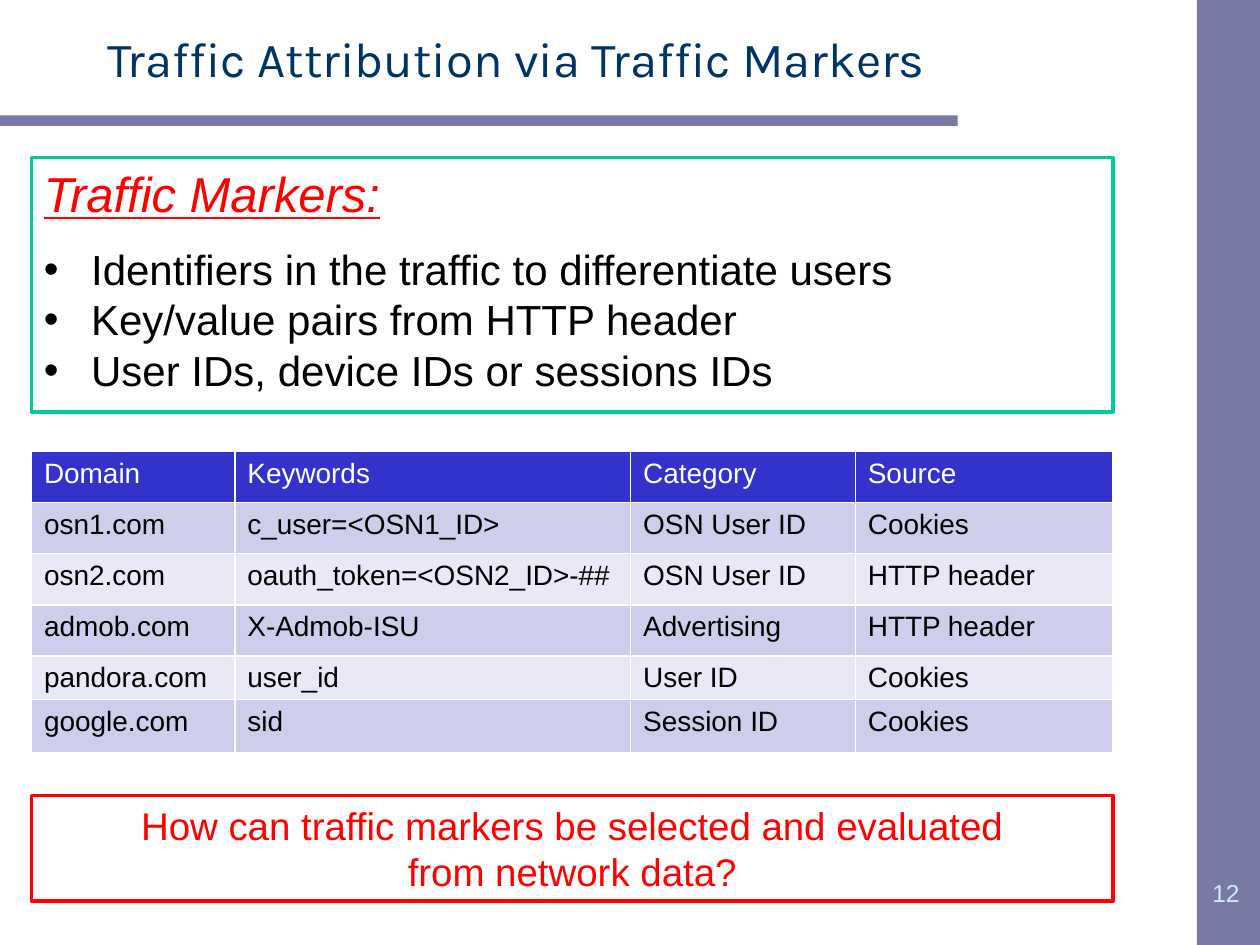
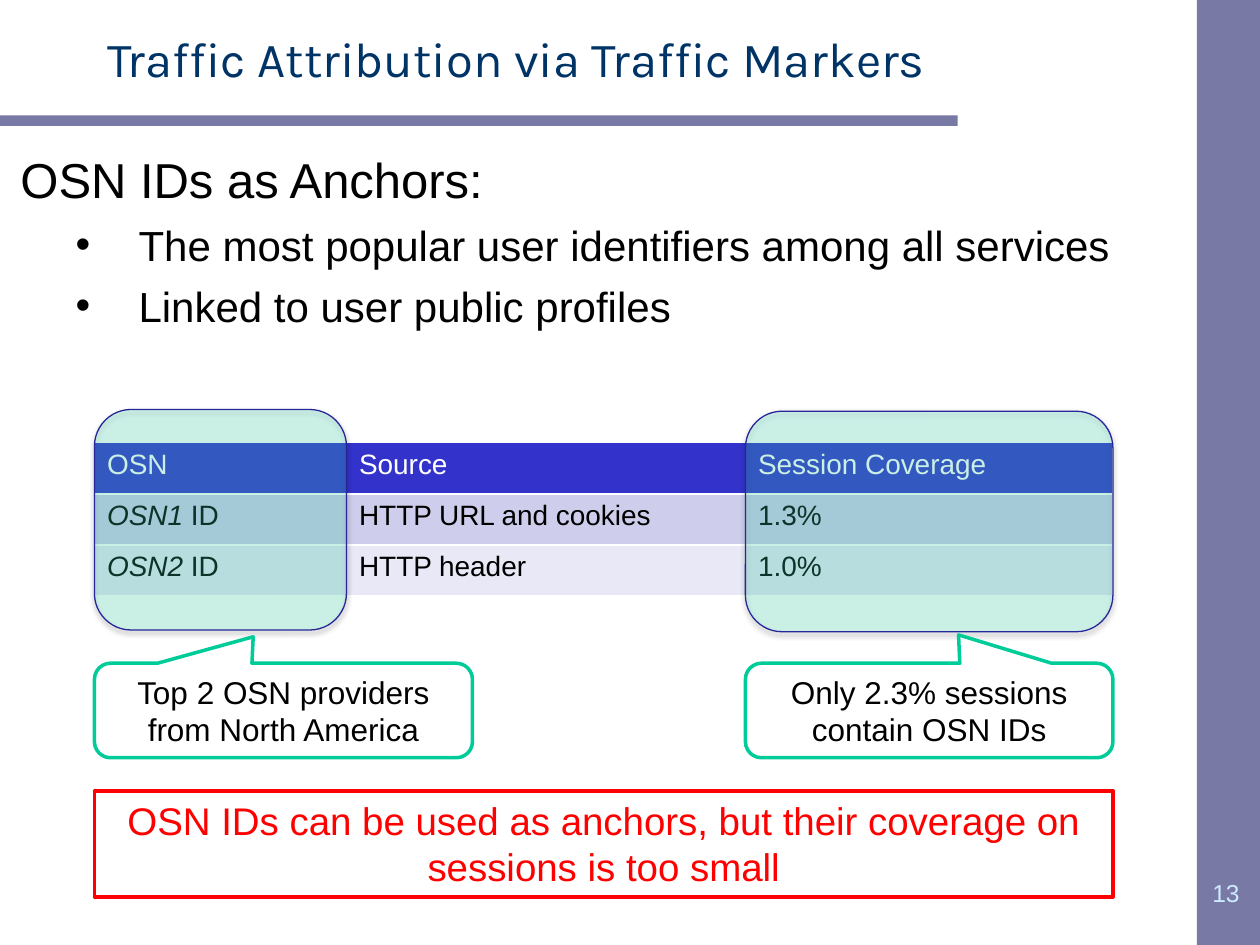
"""Build two slides on attributing traffic through traffic markers."""
from dataclasses import dataclass, field
from typing import Any, Optional

from lxml import etree
from pptx import Presentation
from pptx import util as u
from pptx.dml import color
from pptx.enum import shapes, text
from pptx.oxml import ns

Pt = u.Pt
INK, PAPER, NAVY, BAND, NUMBER = "000000", "FFFFFF", "003366", "7979A6", "CCECFF"
GREEN, RED, MINT, OUTLINE = "00CC99", "FF0000", "47FFD1", "262699"
HEADER, ROW_TINTS = "3333CC", ("CECEEC", "E8E8F6")
HEADING = "Traffic Attribution via Traffic Markers"
LEFT, CENTER = text.PP_ALIGN.LEFT, text.PP_ALIGN.CENTER
TOP, MIDDLE = text.MSO_ANCHOR.TOP, text.MSO_ANCHOR.MIDDLE
RECTANGLE = shapes.MSO_SHAPE.RECTANGLE
RIGHT_EDGE = 636


@dataclass
class Area:
    left: float
    top: float
    width: float
    height: float

    def lengths(self) -> list:
        return [Pt(v) for v in (self.left, self.top, self.width, self.height)]


@dataclass
class Line:
    words: str
    size: float
    ink: str = INK
    font: str = "Arial"
    look: dict = field(default_factory=dict)
    layout: dict = field(default_factory=dict)
    margin: float = 0
    indent: float = 0
    bullet: bool = False


@dataclass
class Panel:
    area: Area
    edge: Optional[str] = None
    fill: str = PAPER
    weight: float = 2
    lines: tuple = ()
    kind: Any = RECTANGLE
    anchor: Any = TOP
    adjust: tuple = ()
    opacity: Optional[int] = None
    shadowed: bool = False


@dataclass
class Grid:
    area: Area
    columns: tuple
    heights: tuple
    rows: tuple


def rgb(value: str) -> color.RGBColor:
    return color.RGBColor.from_string(value)


def apply(target: Any, formats: dict) -> None:
    for name, value in formats.items():
        setattr(target, name, value)


def add_run(paragraph: Any, words: str, size: float, ink: str, font: str, look: dict) -> None:
    run = paragraph.add_run()
    run.text = words
    apply(run.font, {"size": Pt(size), "name": font, "bold": False, **look})
    run.font.color.rgb = rgb(ink)


def write(frame: Any, lines: tuple, anchor: Any = TOP) -> None:
    apply(frame, {"word_wrap": True, "auto_size": text.MSO_AUTO_SIZE.NONE, "vertical_anchor": anchor})
    for index, line in enumerate(lines):
        paragraph = frame.add_paragraph() if index else frame.paragraphs[0]
        properties = paragraph._p.get_or_add_pPr()
        properties.set("marL", str(Pt(line.margin)))
        properties.set("indent", str(Pt(line.indent)))
        if line.bullet:
            typeface = etree.SubElement(properties, ns.qn("a:buFont"))
            typeface.set("typeface", "Arial")
            etree.SubElement(properties, ns.qn("a:buChar")).set("char", "•")
        else:
            etree.SubElement(properties, ns.qn("a:buNone"))
        apply(paragraph, {"alignment": LEFT, "space_before": Pt(0), **line.layout})
        add_run(paragraph, line.words, line.size, line.ink, line.font, line.look)


def add_shadow(properties: Any) -> None:
    effects = properties.find(ns.qn("a:effectLst"))
    shadow = etree.SubElement(effects, ns.qn("a:outerShdw"))
    for name, value in {"blurRad": Pt(3.1), "dist": Pt(1.6), "dir": 5400000, "rotWithShape": 0}.items():
        shadow.set(name, str(value))
    tone = etree.SubElement(shadow, ns.qn("a:srgbClr"))
    tone.set("val", INK)
    etree.SubElement(tone, ns.qn("a:alpha")).set("val", "38000")


def draw_panel(slide: Any, panel: Panel) -> None:
    shape = slide.shapes.add_shape(panel.kind, *panel.area.lengths())
    shape.shadow.inherit = False
    for index, value in enumerate(panel.adjust):
        shape.adjustments[index] = value
    shape.fill.solid()
    shape.fill.fore_color.rgb = rgb(panel.fill)
    if panel.edge:
        shape.line.color.rgb = rgb(panel.edge)
        shape.line.width = Pt(panel.weight)
    else:
        shape.line.fill.background()
    properties = shape.element.spPr
    if panel.opacity is not None:
        tint = properties.find(ns.qn("a:solidFill")).find(ns.qn("a:srgbClr"))
        etree.SubElement(tint, ns.qn("a:alpha")).set("val", str(panel.opacity * 1000))
    if panel.shadowed:
        add_shadow(properties)
    if panel.lines:
        write(shape.text_frame, panel.lines, panel.anchor)


def draw_grid(slide: Any, grid: Grid) -> None:
    table = slide.shapes.add_table(len(grid.rows), len(grid.columns), *grid.area.lengths()).table
    for column, width in zip(table.columns, grid.columns):
        column.width = Pt(width)
    for r, (row, height) in enumerate(zip(grid.rows, grid.heights)):
        table.rows[r].height = Pt(height)
        for c, entry in enumerate(row):
            cell = table.cell(r, c)
            cell.fill.solid()
            cell.fill.fore_color.rgb = rgb(ROW_TINTS[(r - 1) % 2] if r else HEADER)
            pieces = entry if isinstance(entry, tuple) else ("", entry)
            for words, italic in zip(pieces, (True, False)):
                if words:
                    add_run(cell.text_frame.paragraphs[0], words, 16, INK if r else PAPER, "Arial",
                            {"italic": italic})


def place(placeholder: Any, area: Area, lines: tuple, anchor: Any = TOP) -> None:
    apply(placeholder, dict(zip(("left", "top", "width", "height"), area.lengths())))
    write(placeholder.text_frame, lines, anchor)


def start_slide(deck: Any, layout: int, number: int) -> Any:
    slide = deck.slides.add_slide(deck.slide_layouts[layout])
    for band in (Area(684, 0, 36, 540), Area(0, 66, 547.2, 6)):
        draw_panel(slide, Panel(band, fill=BAND))
    page = slide.shapes.add_textbox(*Area(684.7, 498.2, 31.7, 35.3).lengths())
    write(page.text_frame, (Line(str(number), 14, NUMBER, layout={"alignment": CENTER}),))
    place(slide.shapes.title, Area(54, 7.2, 623.5, 51),
          (Line(HEADING, 28, NAVY, "Karla", layout={"line_spacing": 1.03}),), MIDDLE)
    return slide


def centered(size: float, ink: str, *sentences: str) -> tuple:
    return tuple(Line(s, size, ink, layout={"alignment": CENTER}) for s in sentences)


def markers_slide(deck: Any) -> None:
    slide = start_slide(deck, 5, 12)
    facts = ("Identifiers in the traffic to differentiate users",
             "Key/value pairs from HTTP header",
             "User IDs, device IDs or sessions IDs")
    definition = (Line("Traffic Markers:", 28, RED, look={"italic": True, "underline": True}),) + tuple(
        Line(fact, 24, layout={"space_before": Pt(0 if i else 12)}, margin=27, indent=-27, bullet=True)
        for i, fact in enumerate(facts))
    draw_panel(slide, Panel(Area(18, 90, 618, 145.4), GREEN, lines=definition))
    draw_grid(slide, Grid(Area(18, 258, 618, 173.5), (116.2, 226.2, 128.4, 147.2),
                          (29.2,) * 4 + (19.4, 30.2), (
        ("Domain", "Keywords", "Category", "Source"),
        ("osn1.com", "c_user=<OSN1_ID>", "OSN User ID", "Cookies"),
        ("osn2.com", "oauth_token=<OSN2_ID>-##", "OSN User ID", "HTTP header"),
        ("admob.com", "X-Admob-ISU", "Advertising", "HTTP header"),
        ("pandora.com", "user_id", "User ID", "Cookies"),
        ("google.com", "sid", "Session ID", "Cookies"))))
    draw_panel(slide, Panel(Area(18, 454.5, 618, 60.5), RED, lines=centered(
        22, RED, "How can traffic markers be selected and evaluated", "from network data?")))


def anchors_slide(deck: Any) -> None:
    slide = start_slide(deck, 1, 13)
    reasons = ("The most popular user identifiers among all services", "Linked to user public profiles")
    place(slide.placeholders[1], Area(0, 72, 660, 336), (
        Line("OSN IDs as Anchors:", 28, layout={"line_spacing": 1.3}, margin=4.5),
        *(Line(reason, 24, layout={"level": 1, "space_before": Pt(6)}, margin=72, indent=-36, bullet=True)
          for reason in reasons)))
    draw_panel(slide, Panel(Area(54, 452, 582, 60.5), RED, lines=centered(
        22, RED, "OSN IDs can be used as anchors, but their coverage on sessions is too small")))
    columns = (144, 228, 210)
    draw_grid(slide, Grid(Area(54, 253, 582, 87.6), columns, (29.2,) * 3, (
        ("OSN", "Source", "Session Coverage"),
        (("OSN1", " ID"), "HTTP URL and cookies", "1.3%"),
        (("OSN2", " ID"), "HTTP header", "1.0%"))))
    coverage_left = RIGHT_EDGE - columns[-1]
    for area in (Area(54, 234, columns[0], 126), Area(coverage_left, 235, columns[-1], 126)):
        draw_panel(slide, Panel(area, OUTLINE, MINT, 0.75, kind=shapes.MSO_SHAPE.ROUNDED_RECTANGLE,
                                opacity=20, shadowed=True))
    for left, width, tip, remark in (
            (54, 216, (-0.08, -0.78), ("Top 2 OSN providers", "from North America")),
            (coverage_left, columns[-1], (0.08, -0.8), ("Only 2.3% sessions contain OSN IDs",))):
        draw_panel(slide, Panel(Area(left, 379, width, 54), GREEN, lines=centered(18, INK, *remark),
                                kind=shapes.MSO_SHAPE.ROUNDED_RECTANGULAR_CALLOUT, anchor=MIDDLE,
                                adjust=(*tip, 0.17)))


def main() -> None:
    deck = Presentation()
    apply(deck, {"slide_width": Pt(720), "slide_height": Pt(540)})
    markers_slide(deck)
    anchors_slide(deck)
    deck.save("out.pptx")


if __name__ == "__main__":
    main()
